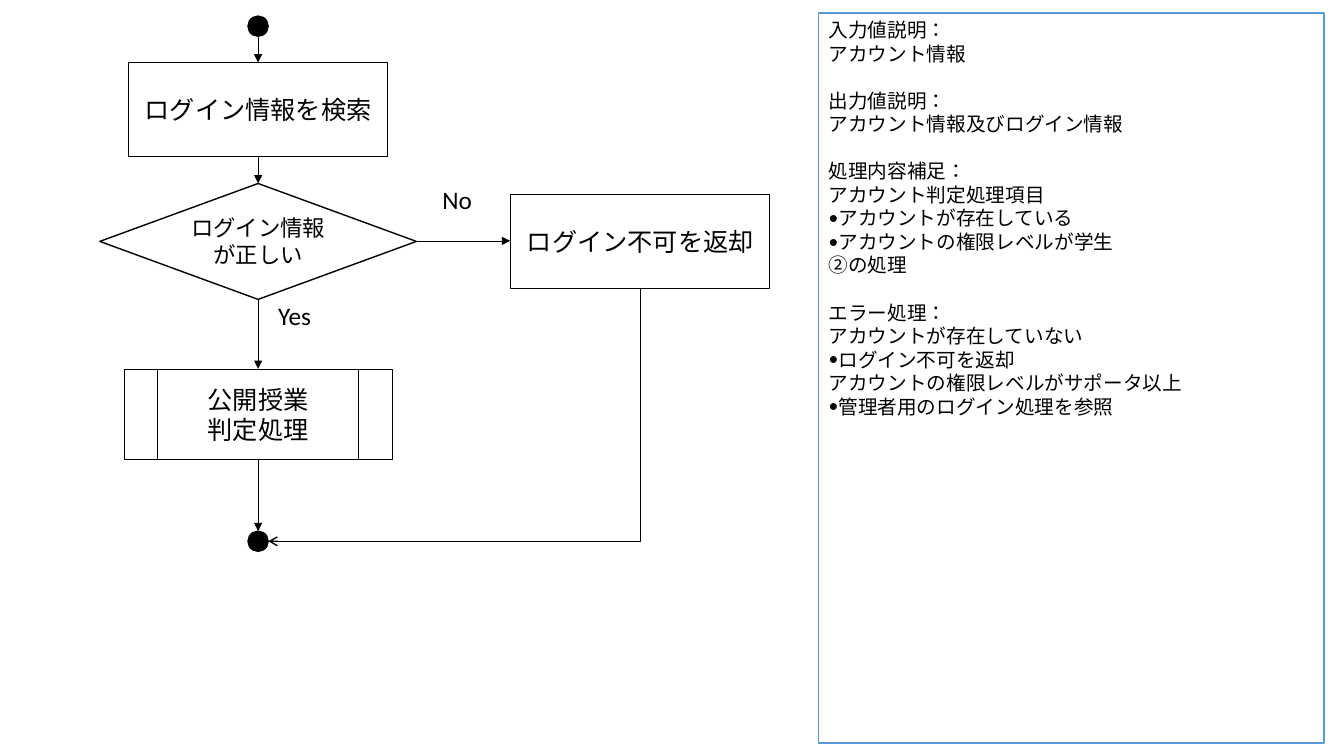
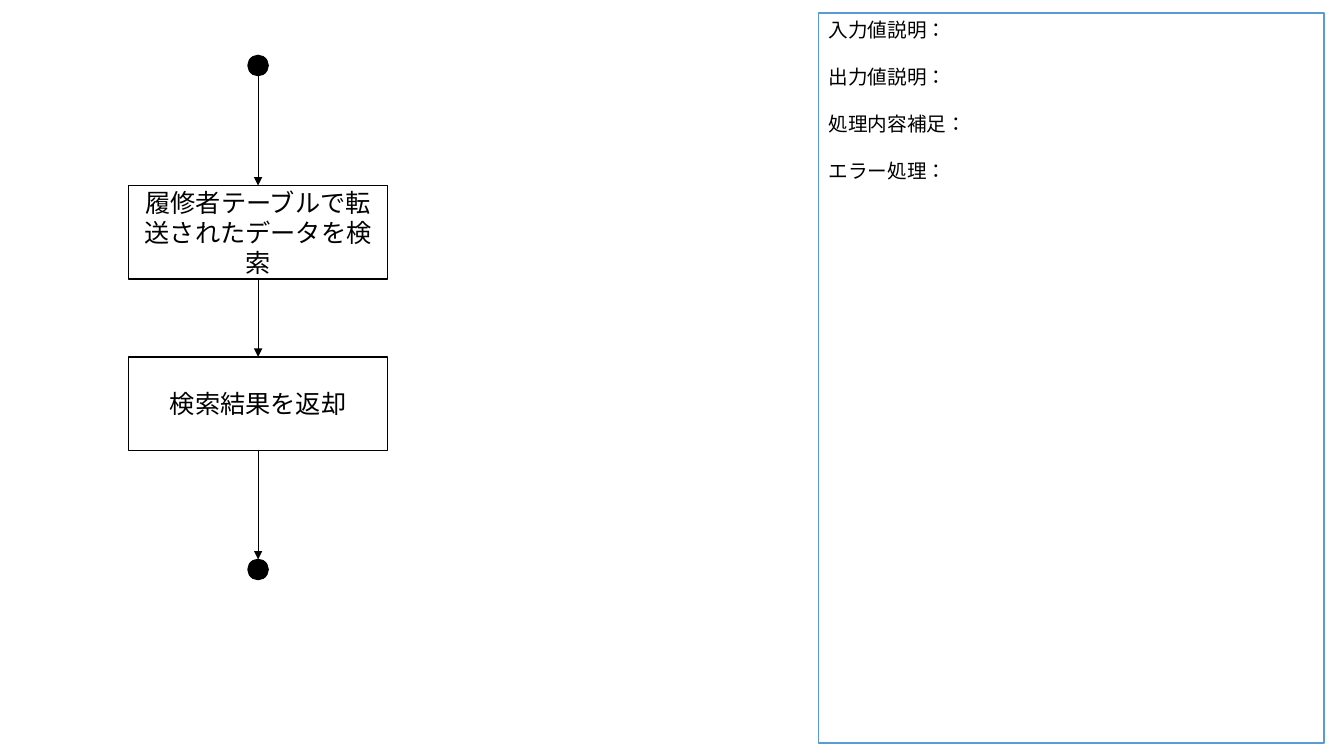
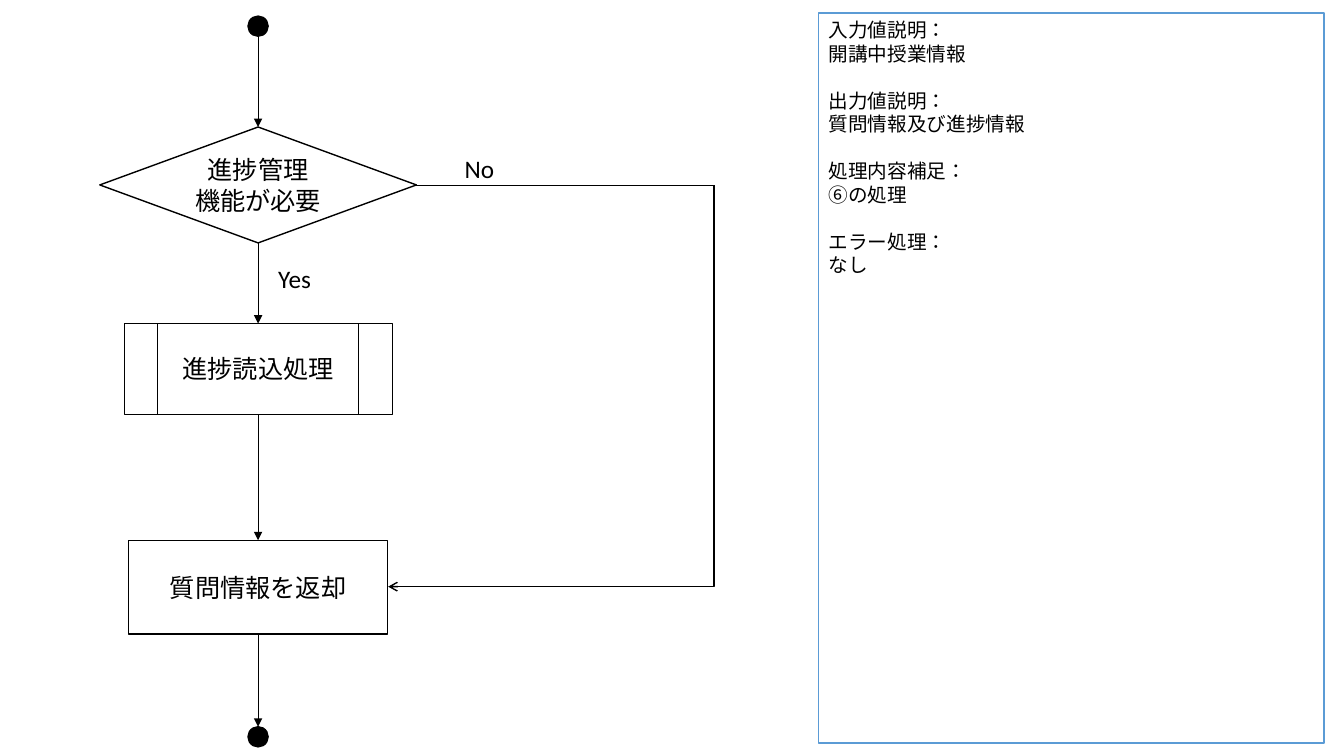
from lxml.etree import SubElement
from pptx import Presentation
from pptx.dml.color import RGBColor
from pptx.enum.lang import MSO_LANGUAGE_ID as Language
from pptx.enum.shapes import MSO_CONNECTOR as Link, MSO_SHAPE as Shape
from pptx.enum.text import MSO_ANCHOR as Anchor, PP_ALIGN as Align
from pptx.oxml.ns import qn
from pptx.util import Inches, Pt

rgb = RGBColor.from_string
BLACK, WHITE, BLUE = "000000", "FFFFFF", "5B9BD5"
FONT = "Calibri"
AXIS = 2.56

STEPS = {
    "dot": (Shape.OVAL, 0.2, 0.2, BLACK, 1),
    "process": (Shape.FLOWCHART_PROCESS, 2.57, 0.93, WHITE, 1),
    "decision": (Shape.FLOWCHART_DECISION, 3.14, 1.15, WHITE, 1),
    "routine": (Shape.FLOWCHART_PREDEFINED_PROCESS, 2.66, 0.9, WHITE, 0.5),
}

PAGES = [
    {
        "flow": [
            ("dot", 0.16, "", 18),
            ("process", 0.62, "ログイン情報を検索", 18),
            ("decision", 1.82, "ログイン情報が正しい", 16),
            ("routine", 3.66, "公開授業\n判定処理", 18),
            ("dot", 5.27, "", 18),
        ],
        "side": [("process", 6.35, 1.93, "ログイン不可を返却", 18)],
        "branch": [(5.06, 2.39, "triangle")],
        "detour": [(6.35, 2.86, 2.66, 5.37)],
        "answers": [("Yes", 2.66, 2.93), ("No", 4.29, 1.78)],
        "notes": [
            ["入力値説明：", "アカウント情報"],
            ["出力値説明：", "アカウント情報及びログイン情報"],
            ["処理内容補足：", "アカウント判定処理項目", "•アカウントが存在している",
             "•アカウントの権限レベルが学生", "②の処理"],
            ["エラー処理：", "アカウントが存在していない", "•ログイン不可を返却",
             "アカウントの権限レベルがサポータ以上", "•管理者用のログイン処理を参照"],
        ],
    },
    {
        "flow": [
            ("dot", 0.55, "", 18),
            ("process", 1.84, "履修者テーブルで転送されたデータを検索", 18),
            ("process", 3.54, "検索結果を返却", 18),
            ("dot", 5.55, "", 18),
        ],
        "side": [], "branch": [], "detour": [], "answers": [],
        "notes": [["入力値説明："], ["出力値説明："], ["処理内容補足："], ["エラー処理："]],
    },
    {
        "flow": [
            ("dot", 0.16, "", 18),
            ("decision", 1.26, "進捗管理\n機能が必要", 18),
            ("routine", 3.21, "進捗読込処理", 18),
            ("process", 5.36, "質問情報を返却", 18),
            ("dot", 7.21, "", 18),
        ],
        "side": [],
        "branch": [(7.08, 1.84, None)],
        "detour": [(7.08, 1.84, 3.85, 5.82)],
        "answers": [("Yes", 2.66, 2.56), ("No", 4.51, 1.47)],
        "notes": [
            ["入力値説明：", "開講中授業情報"],
            ["出力値説明：", "質問情報及び進捗情報"],
            ["処理内容補足：", "⑥の処理"],
            ["エラー処理：", "なし"],
        ],
    },
]


def add_box(slide, kind, left, top, width, height, text, size, fill, outline, weight):
    box = slide.shapes.add_shape(kind, Inches(left), Inches(top), Inches(width), Inches(height))
    box.shadow.inherit = False
    box.fill.solid()
    box.fill.fore_color.rgb = rgb(fill)
    box.line.color.rgb = rgb(outline)
    box.line.width = Pt(weight)
    box.text_frame.text = text
    box.text_frame.vertical_anchor = Anchor.MIDDLE
    for paragraph in box.text_frame.paragraphs:
        paragraph.alignment = Align.CENTER
        for run in paragraph.runs:
            run.font.name = FONT
            run.font.size = Pt(size)
            run.font.color.rgb = rgb(BLACK)
            run.font.language_id = Language.JAPANESE
    return box


def add_link(slide, kind, x1, y1, x2, y2, weight, head):
    link = slide.shapes.add_connector(kind, Inches(x1), Inches(y1), Inches(x2), Inches(y2))
    link.line.color.rgb = rgb(BLACK)
    link.line.width = Pt(weight)
    properties = link.element.spPr
    if head:
        SubElement(properties.find(qn("a:ln")), qn("a:tailEnd"), type=head)
    SubElement(properties, qn("a:effectLst"))
    return link


prs = Presentation()
prs.slide_width, prs.slide_height = Inches(13.33), Inches(7.5)

for page in PAGES:
    slide = prs.slides.add_slide(prs.slide_layouts[6])

    previous_bottom = None
    for step, top, text, size in page["flow"]:
        kind, width, height, fill, weight = STEPS[step]
        add_box(slide, kind, AXIS - width / 2, top, width, height, text, size, fill, BLACK, weight)
        if previous_bottom is not None:
            add_link(slide, Link.STRAIGHT, AXIS, previous_bottom, AXIS, top, 0.5, "triangle")
        previous_bottom = top + height

    for step, center, top, text, size in page["side"]:
        kind, width, height, fill, weight = STEPS[step]
        add_box(slide, kind, center - width / 2, top, width, height, text, size, fill, BLACK, weight)

    for end_x, y, head in page["branch"]:
        add_link(slide, Link.STRAIGHT, 4.13, y, end_x, y, 0.5, head)

    for x1, y1, x2, y2 in page["detour"]:
        mid_x, mid_y = (x1 + x2) / 2, (y1 + y2) / 2
        half_drop, half_run = (y2 - y1) / 2, (x1 - x2) / 2
        detour = add_link(slide, Link.ELBOW, mid_x - half_drop, mid_y - half_run,
                          mid_x + half_drop, mid_y + half_run, 1, "arrow")
        detour.element.spPr.find(qn("a:xfrm")).set("rot", str(90 * 60000))
        detour.element.spPr.find(qn("a:prstGeom")).set("prst", "bentConnector2")

    for answer, left, top in page["answers"]:
        label = slide.shapes.add_textbox(Inches(left), Inches(top), Inches(0.62), Inches(0.4))
        label.text_frame.word_wrap = True
        label.text_frame.text = answer
        font = label.text_frame.paragraphs[0].runs[0].font
        font.name, font.size = FONT, Pt(18)
        font.color.rgb = rgb(BLACK)

    lines = [line for section in page["notes"] for line in section]
    headings = [section[0] for section in page["notes"]]
    notes = add_box(slide, Shape.FLOWCHART_PROCESS, 8.12, 0.13, 5.01, 7.24,
                    "\n".join(line.lstrip("•") for line in lines), 14, WHITE, BLUE, 1)
    notes.text_frame.vertical_anchor = Anchor.TOP
    for line, paragraph in zip(lines, notes.text_frame.paragraphs):
        paragraph.alignment = Align.LEFT
        if line in headings[1:]:
            paragraph.space_before = Pt(16.8)
        if line.startswith("•"):
            bullet_format = paragraph._p.get_or_add_pPr()
            bullet_format.set("marL", str(Inches(0.07)))
            bullet_format.set("indent", str(-Inches(0.07)))
            SubElement(bullet_format, qn("a:buFont"), typeface=FONT)
            SubElement(bullet_format, qn("a:buChar"), char="•")

prs.save("out.pptx")
